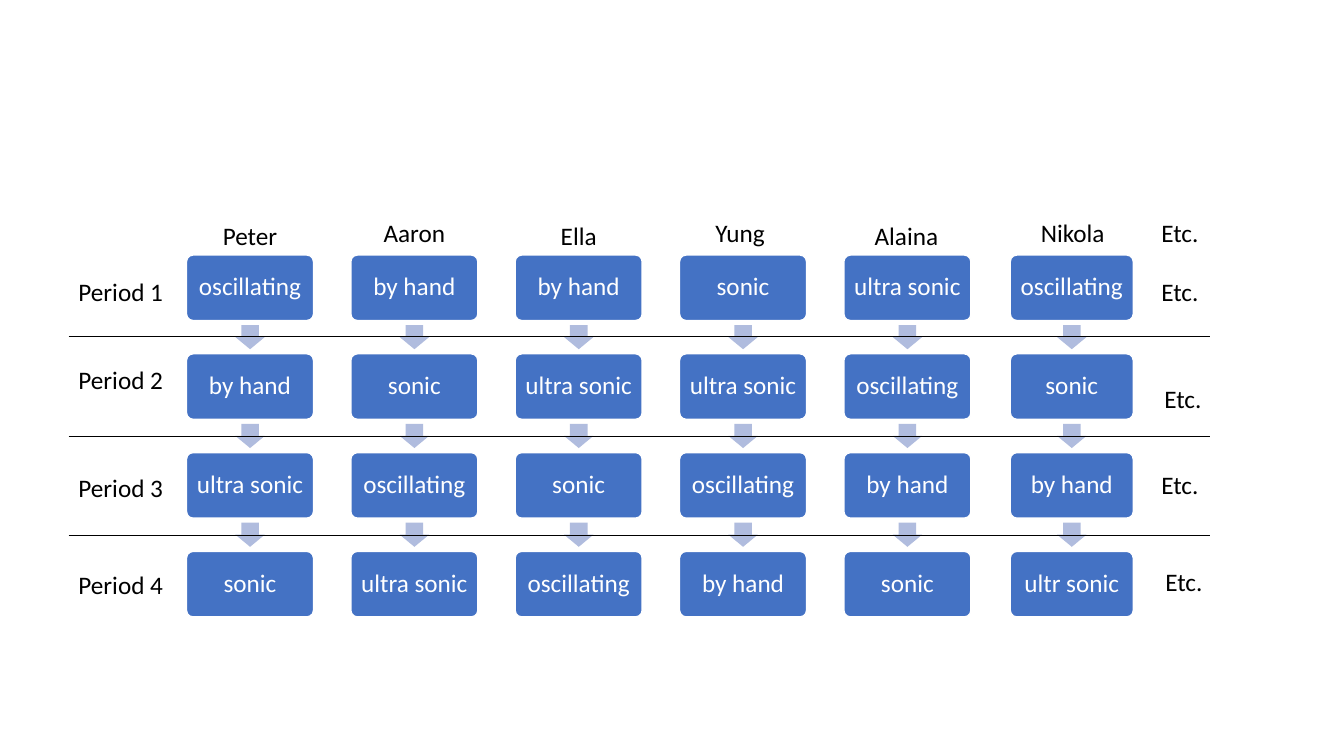
from dataclasses import dataclass

from lxml.etree import SubElement
from pptx import Presentation
from pptx.dml.color import RGBColor
from pptx.enum.shapes import MSO_CONNECTOR as Connector, MSO_SHAPE as Preset
from pptx.enum.text import MSO_ANCHOR as Anchor, MSO_AUTO_SIZE as AutoSize, PP_ALIGN as Align
from pptx.oxml.ns import qn
from pptx.util import Inches, Pt


@dataclass(frozen=True)
class Theme:
    font: str = "Calibri"
    size: int = 18
    ink: str = "000000"
    paper: str = "FFFFFF"
    step: str = "4472C4"
    arrow: str = "B0BCDE"
    step_outline: float = 1
    rule_width: float = 0.5


@dataclass(frozen=True)
class Box:
    left: float
    top: float
    width: float
    height: float

    def inches(self):
        return [Inches(value) for value in (self.left, self.top, self.width, self.height)]


THEME = Theme()
COLUMN_PITCH = 1.63
ROW_PITCH = 0.98
STEP_HEIGHT = 0.65
STEP_WIDTH = 1.26
LABEL_HEIGHT = 0.4

STUDENTS = [
    ("Peter", 0.03, 0.03, STEP_WIDTH, ["oscillating", "by hand", "ultra sonic", "sonic"]),
    ("Aaron", 0.03, 0, STEP_WIDTH, ["by hand", "sonic", "oscillating", "ultra sonic"]),
    ("Ella", 0.03, 0.03, STEP_WIDTH, ["by hand", "ultra sonic", "sonic", "oscillating"]),
    ("Yung", 0, 0, STEP_WIDTH, ["sonic", "ultra sonic", "oscillating", "by hand"]),
    ("Alaina", 0.02, 0.03, STEP_WIDTH, ["ultra sonic", "oscillating", "by hand", "sonic"]),
    ("Nikola", 0.04, 0, 1.22, ["oscillating", "sonic", "by hand", "ultr sonic"]),
]
PERIOD_TOPS = [0, 0.88, 1.95, 2.91]
ETC_OFFSETS = [(0, 0), (0, 0.58), (0.03, 1.64), (0, 2.5), (0.04, 3.46)]


def write_text(shape, text, color, align):
    shape.text_frame.text = text
    paragraph = shape.text_frame.paragraphs[0]
    paragraph.alignment = align
    font = paragraph.runs[0].font
    font.name = THEME.font
    font.size = Pt(THEME.size)
    font.color.rgb = RGBColor.from_string(color)
    return paragraph


def add_label(shapes, box, text, align=Align.LEFT):
    label = shapes.add_textbox(*box.inches())
    write_text(label, text, THEME.ink, align)
    label.text_frame.word_wrap = True
    label.text_frame.auto_size = AutoSize.SHAPE_TO_FIT_TEXT


def add_preset(shapes, preset, box, fill):
    shape = shapes.add_shape(preset, *box.inches())
    shape.shadow.inherit = False
    shape.fill.solid()
    shape.fill.fore_color.rgb = RGBColor.from_string(fill)
    return shape


def add_step(shapes, box, method):
    step = add_preset(shapes, Preset.ROUNDED_RECTANGLE, box, THEME.step)
    step.adjustments[0] = 0.1
    step.line.color.rgb = RGBColor.from_string(THEME.paper)
    step.line.width = Pt(THEME.step_outline)
    frame = step.text_frame
    frame.word_wrap = True
    frame.vertical_anchor = Anchor.MIDDLE
    frame.margin_left = frame.margin_right = Inches(0.06)
    frame.margin_top = frame.margin_bottom = Inches(0.07)
    write_text(step, method, THEME.paper, Align.CENTER).line_spacing = 0.9


def add_arrow(shapes, box):
    arrow = add_preset(shapes, Preset.RIGHT_ARROW, box, THEME.arrow)
    arrow.adjustments[0] = 0.6
    arrow.adjustments[1] = 0.5
    arrow.rotation = 90
    arrow.line.fill.background()


def add_student_column(slide, box, methods, width):
    column = slide.shapes.add_group_shape().shapes
    center = box.left + box.width / 2
    for row, method in enumerate(methods):
        top = box.top + row * ROW_PITCH
        add_step(column, Box(center - width / 2, top, width, STEP_HEIGHT), method)
        if row < len(methods) - 1:
            add_arrow(column, Box(center - 0.12, top + 0.67, 0.24, 0.29))


def add_schedule(slide, box):
    for index, (name, dx, dy, width, methods) in enumerate(STUDENTS):
        left = box.left + index * COLUMN_PITCH
        steps_box = Box(left, box.top + 0.42, STEP_WIDTH, box.height - 0.42)
        add_student_column(slide, steps_box, methods, width)
        add_label(slide.shapes, Box(left + dx, box.top + dy, 1.2, LABEL_HEIGHT), name, Align.CENTER)


def add_period_labels(slide, box):
    for number, offset in enumerate(PERIOD_TOPS, 1):
        label_box = Box(box.left, box.top + offset, box.width, LABEL_HEIGHT)
        add_label(slide.shapes, label_box, f"Period {number}")


def add_etc_labels(slide, box):
    for dx, dy in ETC_OFFSETS:
        add_label(slide.shapes, Box(box.left + dx, box.top + dy, box.width, LABEL_HEIGHT), "Etc.")


def add_period_rules(slide, box):
    gaps = len(PERIOD_TOPS) - 2
    for index in range(gaps + 1):
        y = Inches(box.top + index * box.height / gaps)
        rule = slide.shapes.add_connector(
            Connector.STRAIGHT, Inches(box.left), y, Inches(box.left + box.width), y
        )
        rule.line.color.rgb = RGBColor.from_string(THEME.ink)
        rule.line.width = Pt(THEME.rule_width)
        SubElement(rule._element.spPr, qn("a:effectLst"))


def build_rotation_slide(presentation):
    slide = presentation.slides.add_slide(presentation.slide_layouts[6])
    add_schedule(slide, Box(1.85, 2.11, 9.4, 4.01))
    add_period_labels(slide, Box(0.68, 2.69, 1.1, 3.31))
    add_period_rules(slide, Box(0.68, 3.34, 11.32, 1.97))
    add_etc_labels(slide, Box(11.42, 2.11, 0.83, 3.86))


presentation = Presentation()
presentation.slide_width = Inches(13.33)
presentation.slide_height = Inches(7.5)
build_rotation_slide(presentation)
presentation.save("out.pptx")
